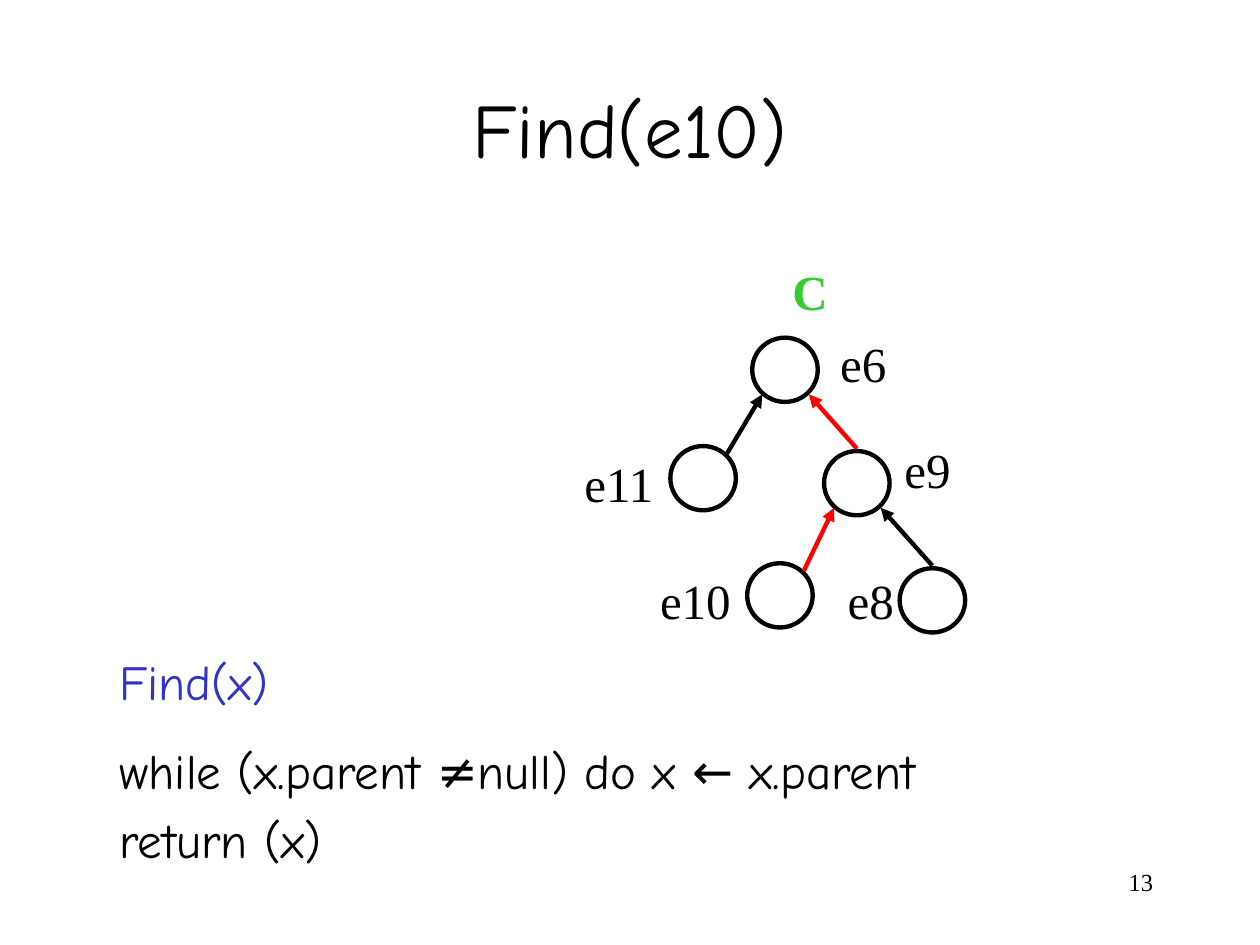
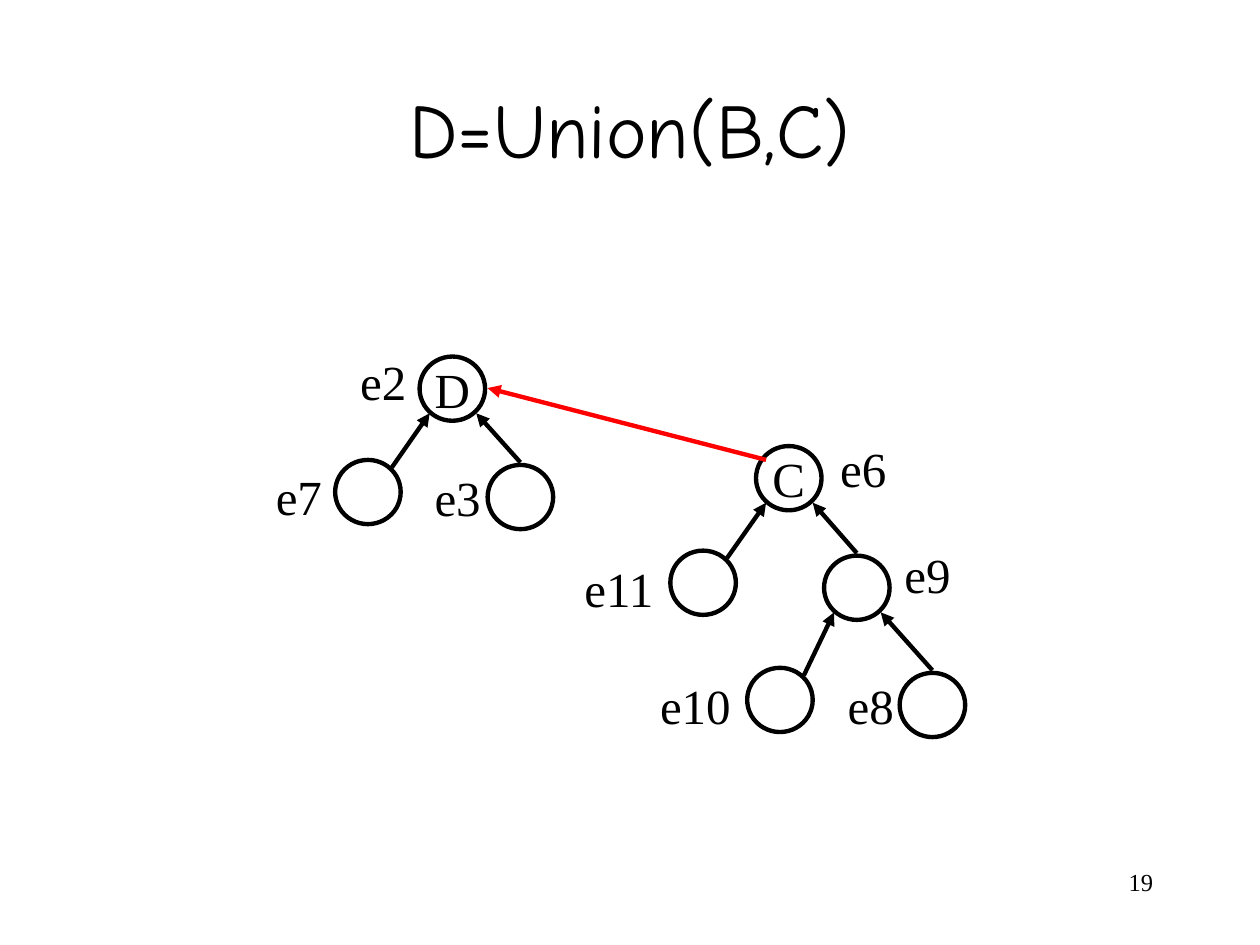
from dataclasses import dataclass

from pptx import Presentation
from pptx.dml.color import RGBColor
from pptx.enum import shapes, text
from pptx.oxml import ns, xmlchemy
from pptx.util import Inches, Pt

BLACK = RGBColor(0x00, 0x00, 0x00)
RED = RGBColor(0xFF, 0x00, 0x00)
GREEN = RGBColor(0x33, 0xCC, 0x33)
BLUE = RGBColor(0x33, 0x33, 0xCC)

TITLE_FONT = "Comic Neue"
LABEL_FONT = "Times New Roman"
BODY_SIZE = 28
LINE_WIDTH = Pt(2.5)
SPACE_BEFORE = Pt(17.5)
LABEL_HEIGHT = 0.57
NODE_WIDTH, NODE_HEIGHT = 0.52, 0.51

# Where an edge leaves a child and meets its parent, from the node's corner
EDGE_START = {"left": (0.45, 0.06), "right": (0.26, -0.02)}
EDGE_END = {"left": (0.08, 0.45), "right": (0.45, 0.45)}

TITLE_BOX = (0.75, 0.39, 8.5, 1.25)
NUMBER_BOX = (7.17, 6.83, 2.08, 0.5)


@dataclass
class Node:
    """A tree node; positions are relative to the tree's box."""
    name: str
    at: tuple
    label_at: tuple
    label_width: float
    parent: str = ""
    side: str = ""
    inside: str = ""


def tree_b():
    return [
        Node("e2", (1.24, 0), (0.67, -0.09), 0.86, inside="D"),
        Node("e7", (0.57, 0.82), (0, 0.82), 0.62, "e2", "left"),
        Node("e3", (1.78, 0.86), (1.26, 0.83), 1.02, "e2", "right"),
    ]


def tree_c(root_at, inside=""):
    return [
        Node("e6", root_at, (2.03, -0.08), 0.86, inside=inside),
        Node("e11", (0.78, 0.86), (0, 0.87), 0.89, "e6", "left"),
        Node("e9", (2, 0.9), (2.54, 0.76), 0.78, "e6", "right"),
        Node("e10", (1.39, 1.79), (0.6, 1.8), 0.89, "e9", "left"),
        Node("e8", (2.6, 1.83), (2.09, 1.8), 1.5, "e9", "right"),
    ]


def shift(origin, offset):
    return origin[0] + offset[0], origin[1] + offset[1]


def style(para, font, size, color=BLACK, bold=False):
    for span in para.runs:
        span.font.name = font
        span.font.size = Pt(size)
        span.font.color.rgb = color
        span.font.bold = bold


def add_text(page, box, words, font, size, color=BLACK, bold=False,
             align=text.PP_ALIGN.LEFT):
    frame = page.shapes.add_textbox(*map(Inches, box)).text_frame
    frame.word_wrap = True
    frame.text = words
    for para in frame.paragraphs:
        para.alignment = align
        style(para, font, size, color, bold)
    return frame


def add_label(page, at, width, words, color=BLACK, bold=False):
    frame = add_text(page, (*at, width, LABEL_HEIGHT), words,
                     LABEL_FONT, BODY_SIZE, color, bold)
    frame.paragraphs[0].space_before = SPACE_BEFORE


def add_node(page, at, inside):
    circle = page.shapes.add_shape(
        shapes.MSO_SHAPE.OVAL,
        *map(Inches, (*at, NODE_WIDTH, NODE_HEIGHT)))
    circle.shadow.inherit = False
    circle.fill.background()
    circle.line.color.rgb = BLACK
    circle.line.width = LINE_WIDTH
    if inside:
        frame = circle.text_frame
        frame.word_wrap = False
        frame.vertical_anchor = text.MSO_ANCHOR.MIDDLE
        frame.text = inside
        frame.paragraphs[0].alignment = text.PP_ALIGN.CENTER
        style(frame.paragraphs[0], LABEL_FONT, BODY_SIZE)


def add_arrow(page, start, end, color=BLACK):
    arrow = page.shapes.add_connector(
        shapes.MSO_CONNECTOR.STRAIGHT, *map(Inches, (*start, *end)))
    arrow.line.color.rgb = color
    arrow.line.width = LINE_WIDTH
    head = xmlchemy.OxmlElement("a:tailEnd")
    head.set("type", "triangle")
    arrow.line._get_or_add_ln().append(head)
    properties = arrow._element.find(ns.qn("p:spPr"))
    properties.append(xmlchemy.OxmlElement("a:effectLst"))


def add_tree(page, origin, nodes, found=()):
    """Draw nodes, labels and edges; return each node's place on the page."""
    places = {node.name: shift(origin, node.at) for node in nodes}
    for node in nodes:
        add_node(page, places[node.name], node.inside)
        add_label(page, shift(origin, node.label_at), node.label_width,
                  node.name)
        if node.parent:
            add_arrow(page,
                      shift(places[node.name], EDGE_START[node.side]),
                      shift(places[node.parent], EDGE_END[node.side]),
                      RED if node.name in found else BLACK)
    return places


def add_code(page, box):
    lines = ["Find(x)", "while (x.parent ≠null) do x ← x.parent", "return (x)"]
    frame = add_text(page, box, "\n".join(lines), TITLE_FONT, BODY_SIZE)
    for para in frame.paragraphs:
        para.space_before = SPACE_BEFORE
    style(frame.paragraphs[0], TITLE_FONT, BODY_SIZE, BLUE)
    frame.paragraphs[-1].line_spacing = 0.6


def add_page(deck, title, number):
    page = deck.slides.add_slide(deck.slide_layouts[6])
    frame = add_text(page, TITLE_BOX, title, TITLE_FONT, 44,
                     align=text.PP_ALIGN.CENTER)
    frame.vertical_anchor = text.MSO_ANCHOR.MIDDLE
    add_text(page, NUMBER_BOX, number, LABEL_FONT, 14,
             align=text.PP_ALIGN.RIGHT)
    return page


def find_slide(deck):
    page = add_page(deck, "Find(e10)", "13")
    add_tree(page, (4.54, 2.68), tree_c((1.43, 0)), found=("e10", "e9"))
    add_label(page, (6.19, 2.03), 0.89, "C", GREEN, bold=True)
    add_code(page, (0.85, 5.12, 7.24, 1.8))


def union_slide(deck):
    page = add_page(deck, "D=Union(B,C)", "19")
    left = add_tree(page, (2.09, 2.83), tree_b())
    right = add_tree(page, (4.54, 3.51), tree_c((1.46, 0.03), "C"))
    # The union hangs the root of C under the root of D
    add_arrow(page, shift(right["e6"], (0.08, 0.11)),
              shift(left["e2"], (0.54, 0.25)), RED)


def main():
    deck = Presentation()
    deck.slide_width, deck.slide_height = Inches(10), Inches(7.5)
    find_slide(deck)
    union_slide(deck)
    deck.save("out.pptx")


if __name__ == "__main__":
    main()
